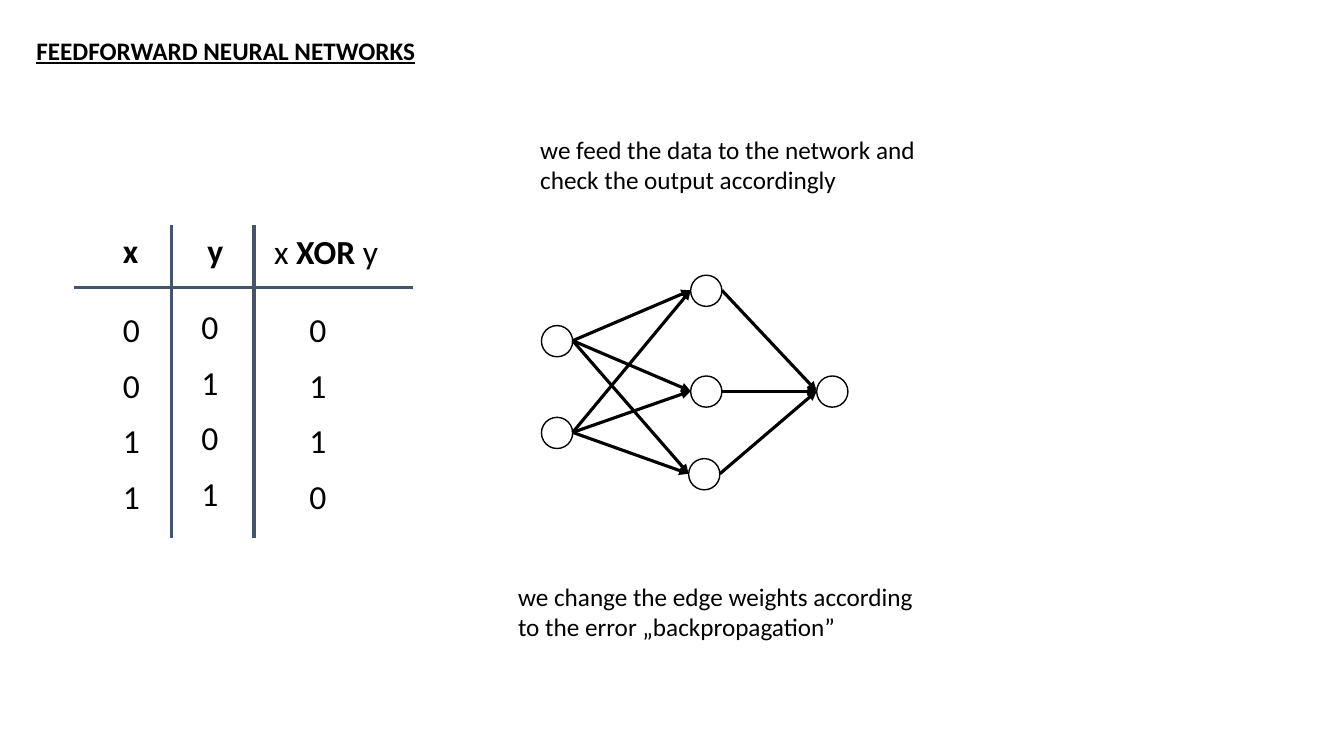
"""Build a slide on feedforward neural networks with an XOR table and a network diagram."""
from dataclasses import dataclass
from itertools import product

from lxml import etree
from pptx import Presentation
from pptx import util as u
from pptx.dml.color import RGBColor
from pptx.enum import shapes, text
from pptx.oxml.ns import qn
from pptx.shapes.base import BaseShape
from pptx.slide import Slide

PX = 9144
BLACK = RGBColor(0x00, 0x00, 0x00)
WHITE = RGBColor(0xFF, 0xFF, 0xFF)
SLATE = RGBColor(0x44, 0x54, 0x6A)
FONT = "Calibri"
NODE_SIZE = 31
ROW_TOP, ROW_PITCH = 302, 55


@dataclass(frozen=True)
class Run:
    words: str
    bold: bool = False
    underline: bool = False


@dataclass(frozen=True)
class Label:
    left: int
    top: int
    width: int
    height: int
    size: int
    paragraphs: tuple[tuple[Run, ...], ...]


@dataclass(frozen=True)
class Node:
    left: int
    top: int

    @property
    def entry(self) -> tuple[int, int]:
        return self.left, self.top + NODE_SIZE // 2

    @property
    def exit(self) -> tuple[int, int]:
        return self.left + NODE_SIZE, self.top + NODE_SIZE // 2


@dataclass(frozen=True)
class Column:
    left: int
    shift: int
    values: str


@dataclass(frozen=True)
class Line:
    start: tuple[int, int]
    end: tuple[int, int]
    color: RGBColor
    arrow: bool = False


TITLE = Label(26, 30, 400, 40, 18, ((Run("FEEDFORWARD NEURAL NETWORKS", True, True),),))
LABELS = (
    Label(504, 572, 423, 71, 18, (
        (Run("we change the edge weights according"),),
        (Run("to the error „backpropagation”"),),
    )),
    Label(526, 128, 400, 71, 18, (
        (Run("we feed the data to the network and"),),
        (Run("check the output accordingly"),),
    )),
    Label(112, 223, 36, 50, 24, ((Run("x", True),),)),
    Label(196, 223, 36, 50, 24, ((Run("y", True),),)),
    Label(262, 224, 124, 50, 24, ((Run("x "), Run("XOR ", True), Run("y")),)),
)
COLUMNS = (Column(112, 0, "0011"), Column(190, -3, "0101"), Column(297, 0, "0110"))
RULES = (
    Line((73, 285), (410, 285), SLATE),
    Line((170, 223), (170, 534), SLATE),
    Line((252, 223), (252, 534), SLATE),
)
LAYERS = (
    (Node(537, 323), Node(537, 414)),
    (Node(685, 273), Node(685, 373), Node(683, 455)),
    (Node(810, 373),),
)


def write_label(shape: BaseShape, label: Label) -> None:
    shape.left, shape.top = label.left * PX, label.top * PX
    shape.width, shape.height = label.width * PX, label.height * PX
    frame = shape.text_frame
    frame.word_wrap = False
    frame.auto_size = text.MSO_AUTO_SIZE.SHAPE_TO_FIT_TEXT
    frame.vertical_anchor = text.MSO_ANCHOR.TOP
    for index, runs in enumerate(label.paragraphs):
        paragraph = frame.add_paragraph() if index else frame.paragraphs[0]
        paragraph.alignment = text.PP_ALIGN.LEFT
        for item in runs:
            run = paragraph.add_run()
            run.text = item.words
            run.font.name = FONT
            run.font.size = u.Pt(label.size)
            run.font.bold = item.bold
            run.font.underline = item.underline
            run.font.color.rgb = BLACK


def add_label(slide: Slide, label: Label) -> None:
    write_label(slide.shapes.add_textbox(0, 0, PX, PX), label)


def add_node(slide: Slide, node: Node) -> None:
    shape = slide.shapes.add_shape(
        shapes.MSO_SHAPE.OVAL, node.left * PX, node.top * PX, NODE_SIZE * PX, NODE_SIZE * PX
    )
    shape.shadow.inherit = False
    shape.fill.solid()
    shape.fill.fore_color.rgb = WHITE
    shape.line.color.rgb = BLACK
    shape.line.width = u.Pt(1)


def add_line(slide: Slide, line: Line) -> None:
    points = [value * PX for value in (*line.start, *line.end)]
    connector = slide.shapes.add_connector(shapes.MSO_CONNECTOR.STRAIGHT, *points)
    connector.line.color.rgb = line.color
    connector.line.width = u.Pt(2.25)
    properties = connector.element.spPr
    if line.arrow:
        etree.SubElement(properties.find(qn("a:ln")), qn("a:tailEnd"), type="triangle")
    etree.SubElement(properties, qn("a:effectLst"))


def add_network(slide: Slide) -> None:
    for layer in LAYERS:
        for node in layer:
            add_node(slide, node)
    for sources, targets in zip(LAYERS, LAYERS[1:]):
        for source, target in product(sources, targets):
            add_line(slide, Line(source.exit, target.entry, BLACK, True))


def add_truth_table(slide: Slide) -> None:
    for rule in RULES:
        add_line(slide, rule)
    for row, column in product(range(4), COLUMNS):
        top = ROW_TOP + row * ROW_PITCH + column.shift
        add_label(slide, Label(column.left, top, 39, 50, 24, ((Run(column.values[row]),),)))


def main() -> None:
    presentation = Presentation()
    presentation.slide_width, presentation.slide_height = 1333 * PX, 750 * PX
    slide = presentation.slides.add_slide(presentation.slide_layouts[5])
    write_label(slide.shapes.title, TITLE)
    add_network(slide)
    for label in LABELS:
        add_label(slide, label)
    add_truth_table(slide)
    presentation.save("out.pptx")


if __name__ == "__main__":
    main()
